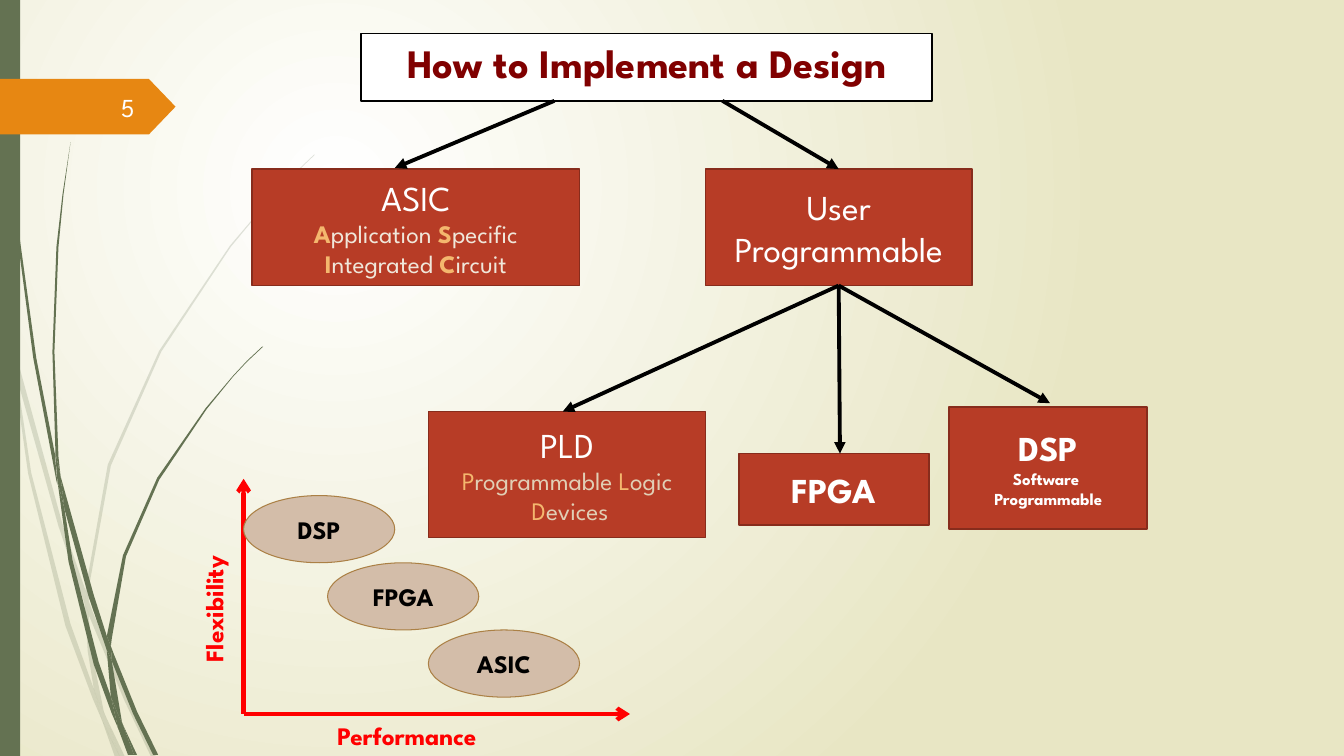
from collections import namedtuple

from lxml import etree
from pptx import Presentation, util as u
from pptx.dml.color import RGBColor
from pptx.enum import shapes, text
from pptx.oxml import ns

COLORS = {
    "white": "FFFFFF", "black": "000000", "cream": "E8E6C4", "green": "647252",
    "orange": "E78712", "maroon": "800000", "brick": "B73C26", "brick edge": "872C1C",
    "amber": "F4B76E", "pale": "F0E7DA", "sand": "E1CFB5", "red": "FF0000",
    "beige": "D3BDA9", "beige edge": "AB8045",
}
FONT = "League Spartan"
COLUMNS, ROWS = 160, 90
CELL = u.Inches(7.5) / ROWS
STEM_ROWS = 750
Box = namedtuple("Box", "left top width height")

PALE_STEMS = [
    [(11, 350), (9, 322), (0, 282), (0, 299), (10, 344)],
    [(58, 522), (84, 599), (85, 586), (62, 520), (14, 345), (17, 376)],
    [(92, 607), (88, 596), (88, 610), (123, 694), (150, 751), (155, 751), (127, 692)],
    [(119, 751), (124, 751), (105, 711)],
    [(93, 683), (70, 619), (31, 469), (17, 376), (11, 350), (28, 470), (65, 621), (92, 693),
     (101, 714), (99, 707)],
    [(84, 599), (87, 646), (93, 683), (96, 692), (105, 711), (103, 706), (91, 646), (88, 610),
     (88, 608)],
    [(88, 584), (110, 462), (160, 349), (229, 245), (268, 198), (290, 175), (312, 154),
     (312, 153), (289, 175), (268, 197), (228, 244), (158, 348), (107, 461), (85, 584),
     (85, 586), (88, 596)],
    [(101, 714), (114, 751), (119, 751)],
    [(88, 608), (88, 610), (88, 596), (85, 586), (84, 599)],
    [(96, 692), (93, 683), (99, 707), (101, 714), (119, 751), (105, 711)],
]
DARK_STEMS = [
    [(7, 110), (17, 233), (33, 355), (56, 477), (57, 481), (55, 457), (55, 453), (36, 355),
     (19, 232), (8, 109), (5, 48), (4, 0), (3, 0), (4, 48)],
    [(88, 592), (106, 645), (106, 633), (106, 631), (93, 590), (60, 472), (64, 505)],
    [(113, 649), (110, 641), (111, 656), (132, 708), (152, 749), (157, 749), (136, 706)],
    [(110, 691), (98, 657), (72, 556), (64, 505), (57, 477), (68, 557), (93, 659), (111, 708),
     (117, 722), (116, 717)],
    [(60, 472), (58, 453), (54, 349), (58, 245), (63, 193), (70, 141), (62, 193), (56, 245),
     (52, 349), (55, 449)],
    [(133, 749), (136, 749), (122, 719)],
    [(57, 477), (64, 505), (60, 472), (55, 449), (55, 453)],
    [(111, 633), (125, 552), (158, 476), (205, 406), (231, 374), (245, 359), (261, 344),
     (260, 344), (245, 358), (231, 373), (204, 405), (156, 474), (122, 551), (106, 631),
     (110, 641)],
    [(117, 722), (127, 749), (131, 749)],
    [(106, 645), (110, 691), (116, 706), (122, 719), (121, 716), (111, 656), (109, 651)],
    [(106, 645), (109, 651), (111, 656), (110, 641), (106, 631), (106, 633)],
    [(116, 706), (110, 691), (116, 717), (117, 722), (130, 749), (133, 749), (122, 719)],
]


def color(name):
    return RGBColor.from_string(COLORS[name])


def cells(*lengths):
    return [u.Emu(round(length * CELL)) for length in lengths]


def inside(box, left, top, width, height):
    return Box(box.left + left, box.top + top, width, height)


def paint(shape, fill, line=None, weight=1.25):
    shape.shadow.inherit = False
    shape.fill.solid()
    shape.fill.fore_color.rgb = color(fill)
    if line:
        shape.line.color.rgb = color(line)
        shape.line.width = u.Pt(weight)
    else:
        shape.line.fill.background()


def write(shape, paragraphs, size=18, fill="white", bold=False, align="CENTER",
          anchor="MIDDLE", wrap=True):
    frame = shape.text_frame
    frame.word_wrap = wrap
    frame.vertical_anchor = text.MSO_ANCHOR[anchor]
    for index, content in enumerate(paragraphs):
        paragraph = frame.add_paragraph() if index else frame.paragraphs[0]
        paragraph.alignment = text.PP_ALIGN[align]
        runs = [(content, {})] if isinstance(content, str) else content
        for words, style in runs:
            run = paragraph.add_run()
            run.text = words
            run.font.name = FONT
            run.font.size = u.Pt(style.get("size", size))
            run.font.bold = style.get("bold", bold)
            run.font.color.rgb = color(style.get("fill", fill))


def add_block(slide, kind, box, fill, line=None, weight=1.25):
    shape = slide.shapes.add_shape(shapes.MSO_SHAPE[kind], *cells(*box))
    paint(shape, fill, line, weight)
    return shape


def add_label(slide, box, words, **style):
    label = slide.shapes.add_textbox(*cells(*box))
    write(label, [words], **style)
    return label


def add_arrow(slide, start, end, line="black", weight=2.75, head="triangle"):
    arrow = slide.shapes.add_connector(shapes.MSO_CONNECTOR.STRAIGHT, *cells(*start, *end))
    arrow.line.color.rgb = color(line)
    arrow.line.width = u.Pt(weight)
    etree.SubElement(arrow.line._get_or_add_ln(), ns.qn("a:tailEnd"), type=head)
    etree.SubElement(arrow.element.spPr, ns.qn("a:effectLst"))
    return arrow


def add_stem(slide, box, points, opacity):
    unit = box.height * CELL / STEM_ROWS
    left, top = cells(box.left, box.top)
    outline = [(left + x * unit, top + y * unit) for x, y in points]
    builder = slide.shapes.build_freeform(*outline[0])
    builder.add_line_segments(outline[1:], close=True)
    stem = builder.convert_to_shape()
    paint(stem, "green")
    if opacity < 100:
        tone = stem.element.spPr.find(".//" + ns.qn("a:srgbClr"))
        etree.SubElement(tone, ns.qn("a:alpha"), val=str(opacity * 1000))


def draw_background(slide):
    fill = slide.background.fill
    fill.gradient()
    for stop, name in zip(fill.gradient_stops, ("white", "cream")):
        stop.color.rgb = color(name)
    gradient = slide.element.find(".//" + ns.qn("a:gradFill"))
    gradient.remove(gradient.find(ns.qn("a:lin")))
    circle = etree.SubElement(gradient, ns.qn("a:path"), path="circle")
    etree.SubElement(circle, ns.qn("a:fillToRect"), l="50000", t="50000", r="100000", b="100000")


def draw_side(slide, box):
    for stems, opacity in ((PALE_STEMS, 20), (DARK_STEMS, 100)):
        for points in stems:
            add_stem(slide, box, points, opacity)
    add_block(slide, "RECTANGLE", inside(box, 0, 0, 2.4, box.height), "green")
    tag = add_block(slide, "PENTAGON", inside(box, 0, 9.4, 20.9, 6.6), "orange")
    tag.adjustments[0] = 0.48
    add_label(slide, inside(box, 7, 10.4, 10.2, 4.8), "5", size=18.5, align="RIGHT")


def draw_tree(slide, box):
    def add_node(place, paragraphs, **style):
        node = add_block(slide, "RECTANGLE", inside(box, *place), "brick", "brick edge")
        write(node, paragraphs, size=25, wrap=False, **style)
        return node

    def point(left, top):
        return box.left + left, box.top + top

    title = slide.shapes.title
    title.left, title.top, title.width, title.height = cells(*inside(box, 13, 0, 68, 8))
    paint(title, "white", "black")
    write(title, ["How to Implement a Design"], size=28.8, fill="maroon", bold=True, anchor="TOP")

    initial = {"size": 18, "fill": "amber", "bold": True}
    rest = {"size": 18, "fill": "pale"}
    letter = {"size": 18, "fill": "amber"}
    tail = {"size": 18, "fill": "sand"}
    small = {"size": 12}
    add_node((0, 16.13, 39, 13.87), [
        "ASIC",
        [("A", initial), ("pplication ", rest), ("S", initial), ("pecific", rest)],
        [("I", initial), ("ntegrated ", rest), ("C", initial), ("ircuit", rest)]])
    user = add_node((54, 16.13, 31.7, 13.87), ["User", "Programmable"])
    add_node((21, 45, 33, 15), [
        "PLD",
        [("P", letter), ("rogrammable", tail), (" L", letter), ("ogic", tail)],
        [(" D", letter), ("evices", tail)]])
    add_node((58, 50, 22.6, 8.5), ["FPGA"], bold=True)
    add_node((83, 44.45, 23.6, 14.5), [
        "DSP", [("Software ", small)], [("Programmable", small)]], bold=True)

    add_arrow(slide, point(36, 8), point(17, 16))
    add_arrow(slide, point(56, 8), point(70, 16)).end_connect(user, 0)
    for end in ((37, 45), (70, 50), (95, 44)):
        add_arrow(slide, point(70, 30), point(*end)).begin_connect(user, 2)


def draw_chart(slide, box):
    corner = (box.left, box.top + box.height)
    for end in ((box.left + box.width, corner[1]), (box.left, box.top)):
        add_arrow(slide, corner, end, line="red", weight=3, head="arrow")
    axis = {"fill": "red", "bold": True, "align": "LEFT", "anchor": "TOP"}
    flexibility = add_label(slide, inside(box, -14.1, 10.1, 21, 4.8), "Flexibility", **axis)
    flexibility.rotation = 270
    add_label(slide, inside(box, 10, 28.2, 24, 4.8), "Performance", **axis)
    for name, left, top in (("ASIC", 22, 18), ("FPGA", 10, 10), ("DSP", 0, 2)):
        oval = add_block(slide, "OVAL", inside(box, left, top, 18, 8), "beige", "beige edge", 0.75)
        write(oval, [name], fill="black", bold=True)


def main():
    presentation = Presentation()
    presentation.slide_width, presentation.slide_height = cells(COLUMNS, ROWS)
    slide = presentation.slides.add_slide(presentation.slide_layouts[5])
    draw_background(slide)
    draw_side(slide, Box(0, 0, 38, ROWS))
    draw_tree(slide, Box(30, 4, 107, 60))
    draw_chart(slide, Box(29, 57, 46, 28))
    presentation.save("out.pptx")


if __name__ == "__main__":
    main()
